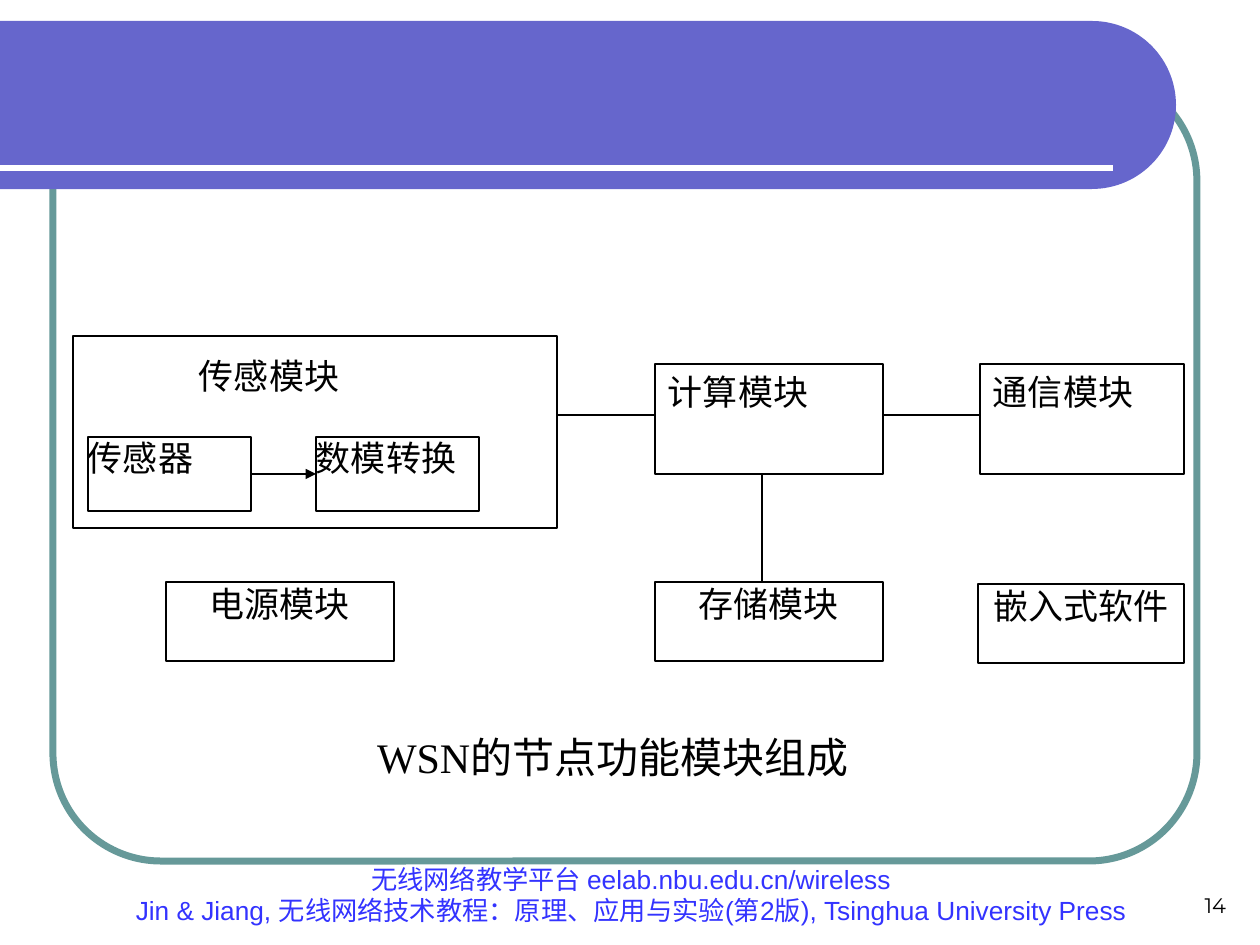
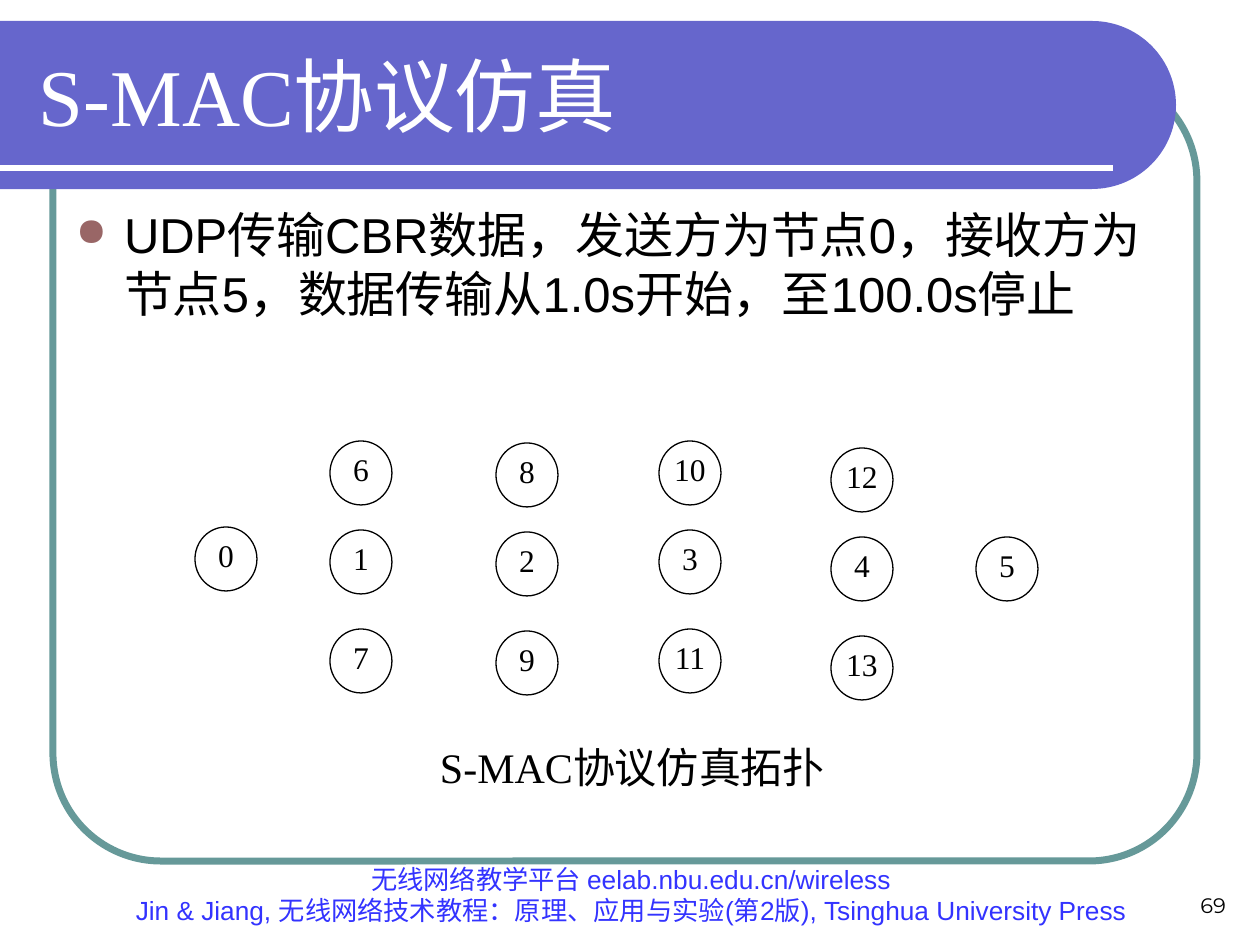
import math

from lxml import etree
from pptx import Presentation
from pptx import util as u
from pptx.dml.color import RGBColor
from pptx.enum import shapes, text
from pptx.oxml import ns

PX = 914400 / 126
COLORS = {
    "band": "6666CC",
    "frame": "669999",
    "bullet": "996666",
    "footer": "3333FF",
    "ink": "000000",
    "paper": "FFFFFF",
}
SERIF, SANS, NUMBER = "Times New Roman", "Arial", "Montserrat"
RECT, OVAL = shapes.MSO_SHAPE.RECTANGLE, shapes.MSO_SHAPE.OVAL
ALIGN, ANCHOR = text.PP_ALIGN, text.MSO_ANCHOR
PADDING = (13, 6)
FOOTER = [
    "无线网络教学平台 eelab.nbu.edu.cn/wireless",
    "Jin & Jiang, 无线网络技术教程：原理、应用与实验(第2版), Tsinghua University Press",
]


def emu(px):
    return u.Emu(round(px * PX))


def rgb(name):
    return RGBColor.from_string(COLORS[name])


def place(sp, box):
    sp.left, sp.top, sp.width, sp.height = map(emu, box)


def write(sp, lines, size, font=SERIF, color="ink", align=ALIGN.LEFT,
          anchor=ANCHOR.TOP, padding=PADDING):
    """Fill the text frame of a shape, one paragraph for each line."""
    tf = sp.text_frame
    tf.word_wrap = True
    tf.auto_size = text.MSO_AUTO_SIZE.NONE
    tf.vertical_anchor = anchor
    tf.margin_left = tf.margin_right = emu(padding[0])
    tf.margin_top = tf.margin_bottom = emu(padding[1])
    for i, line in enumerate(lines):
        p = tf.add_paragraph() if i else tf.paragraphs[0]
        p.alignment = align
        r = p.add_run()
        r.text = line
        r.font.size, r.font.name = u.Pt(size), font
        r.font.color.rgb = rgb(color)


def add_text(s, box, lines, size, **style):
    sp = s.shapes.add_textbox(*map(emu, box))
    write(sp, lines, size, **style)
    return sp


def paint(sp, fill=None, line=None, width=0.75):
    sp.shadow.inherit = False
    if fill:
        sp.fill.solid()
        sp.fill.fore_color.rgb = rgb(fill)
    else:
        sp.fill.background()
    if line:
        sp.line.color.rgb = rgb(line)
        sp.line.width = u.Pt(width)
    else:
        sp.line.fill.background()


def add_block(s, kind, box, label="", size=20, line="ink", align=ALIGN.JUSTIFY,
              padding=(0, 0)):
    sp = s.shapes.add_shape(kind, *map(emu, box))
    paint(sp, "paper", line)
    if label:
        write(sp, [label], size, align=align, padding=padding)


def add_line(s, start, end, color="ink", width=0.75, arrow=False):
    cx = s.shapes.add_connector(shapes.MSO_CONNECTOR.STRAIGHT,
                                *map(emu, (*start, *end)))
    cx.line.color.rgb = rgb(color)
    cx.line.width = u.Pt(width)
    if arrow:
        ln = cx.line._get_or_add_ln()
        etree.SubElement(ln, ns.qn("a:tailEnd"), type="triangle")
    etree.SubElement(cx.element.spPr, ns.qn("a:effectLst"))


def add_band(s, box):
    """Draw the title band, whose right end is a half circle."""
    x, y, w, h = box
    radius = h / 2
    cx, cy = x + w - radius, y + radius
    angles = [math.radians(a) for a in range(-90, 91, 3)]
    arc = [(emu(cx + radius * math.cos(a)), emu(cy + radius * math.sin(a)))
           for a in angles]
    fb = s.shapes.build_freeform(emu(x), emu(y))
    fb.add_line_segments(arc + [(emu(x), emu(y + h))])
    paint(fb.convert_to_shape(), "band")
    add_line(s, (x, y + 147), (x + w - 63, y + 147), "paper", 3)


def add_base(prs, layout, number):
    s = prs.slides.add_slide(prs.slide_layouts[layout])
    frame = s.shapes.add_shape(shapes.MSO_SHAPE.ROUNDED_RECTANGLE,
                               *map(emu, (53, 73, 1144, 788)))
    frame.adjustments[0] = 0.137
    paint(frame, line="frame", width=4)
    add_band(s, (0, 21, 1176, 168))
    add_text(s, (97, 879, 1068, 53), FOOTER, 15, font=SANS, color="footer",
             align=ALIGN.CENTER, anchor=ANCHOR.BOTTOM)
    add_text(s, (945, 861, 294, 63), [number], 12, font=NUMBER,
             align=ALIGN.RIGHT, anchor=ANCHOR.BOTTOM)
    return s


def add_title(s, box, title):
    sp = s.shapes.title
    place(sp, box)
    write(sp, [title], 46, color="paper", anchor=ANCHOR.MIDDLE)
    sp.element.getparent().append(sp.element)  # in front of the band


def add_bullet(s, box, line):
    sp = add_text(s, box, [line], 28, font=SANS)
    pPr = sp.text_frame.paragraphs[0]._p.get_or_add_pPr()
    pPr.set("marL", str(emu(48)))
    pPr.set("indent", str(emu(-48)))
    color = etree.SubElement(pPr, ns.qn("a:buClr"))
    etree.SubElement(color, ns.qn("a:srgbClr"), val=COLORS["bullet"])
    etree.SubElement(pPr, ns.qn("a:buSzPct"), val="80000")
    etree.SubElement(pPr, ns.qn("a:buChar"), char="●")


def add_caption(s, box, caption):
    add_text(s, box, [caption], 24, anchor=ANCHOR.MIDDLE)


def add_sensing_module(s, box):
    x, y, w, h = box
    add_block(s, RECT, box)
    add_block(s, RECT, (x + 126, y + 19, 163, 73), "传感模块", line=None)
    for dx, label in ((15, "传感器"), (243, "数模转换")):
        add_block(s, RECT, (x + dx, y + 101, 163, 74), label)
    add_line(s, (x + 178, y + 138), (x + 243, y + 138), arrow=True)


def add_node_modules(s, box):
    x, y, w, h = box
    add_sensing_module(s, (x, y, 484, 192))
    for dx, width, label in ((582, 228, "计算模块"), (907, 204, "通信模块")):
        add_block(s, RECT, (x + dx, y + 28, width, 110), label, padding=PADDING)
    for dx, dy, width, label in ((93, 246, 228, "电源模块"),
                                 (582, 246, 228, "存储模块"),
                                 (905, 248, 206, "嵌入式软件")):
        add_block(s, RECT, (x + dx, y + dy, width, 79), label, align=ALIGN.CENTER)
    for start, end in (((484, 79), (582, 79)), ((810, 79), (907, 79)),
                       ((689, 138), (689, 245))):
        add_line(s, (x + start[0], y + start[1]), (x + end[0], y + end[1]))


def add_topology(s, box):
    x, y, w, h = box
    rows = (0, 89, 188)
    columns = [  # left, drop, node in each row
        (0, -3, (None, "0", None)),
        (135, 0, ("6", "1", "7")),
        (301, 2, ("8", "2", "9")),
        (464, 0, ("10", "3", "11")),
        (636, 7, ("12", "4", "13")),
        (781, 7, (None, "5", None)),
    ]
    for dx, drop, nodes in columns:
        for dy, node in zip(rows, nodes):
            if node:
                add_block(s, OVAL, (x + dx, y + dy + drop, 62, 64), node, 18,
                          align=ALIGN.CENTER)


def modules_slide(prs):
    s = add_base(prs, 6, "14")
    add_node_modules(s, (73, 336, 1111, 328))
    add_caption(s, (364, 725, 513, 63), "WSN的节点功能模块组成")


def simulation_slide(prs):
    s = add_base(prs, 5, "69")
    add_title(s, (26, 31, 1105, 126), "S-MAC协议仿真")
    add_bullet(s, (63, 199, 1092, 199),
               "UDP传输CBR数据，发送方为节点0，接收方为节点5，"
               "数据传输从1.0s开始，至100.0s停止")
    add_topology(s, (195, 441, 843, 259))
    add_caption(s, (427, 735, 427, 63), "S-MAC协议仿真拓扑")


def main():
    prs = Presentation()
    prs.slide_width, prs.slide_height = emu(1260), emu(945)
    modules_slide(prs)
    simulation_slide(prs)
    prs.save("out.pptx")


if __name__ == "__main__":
    main()
